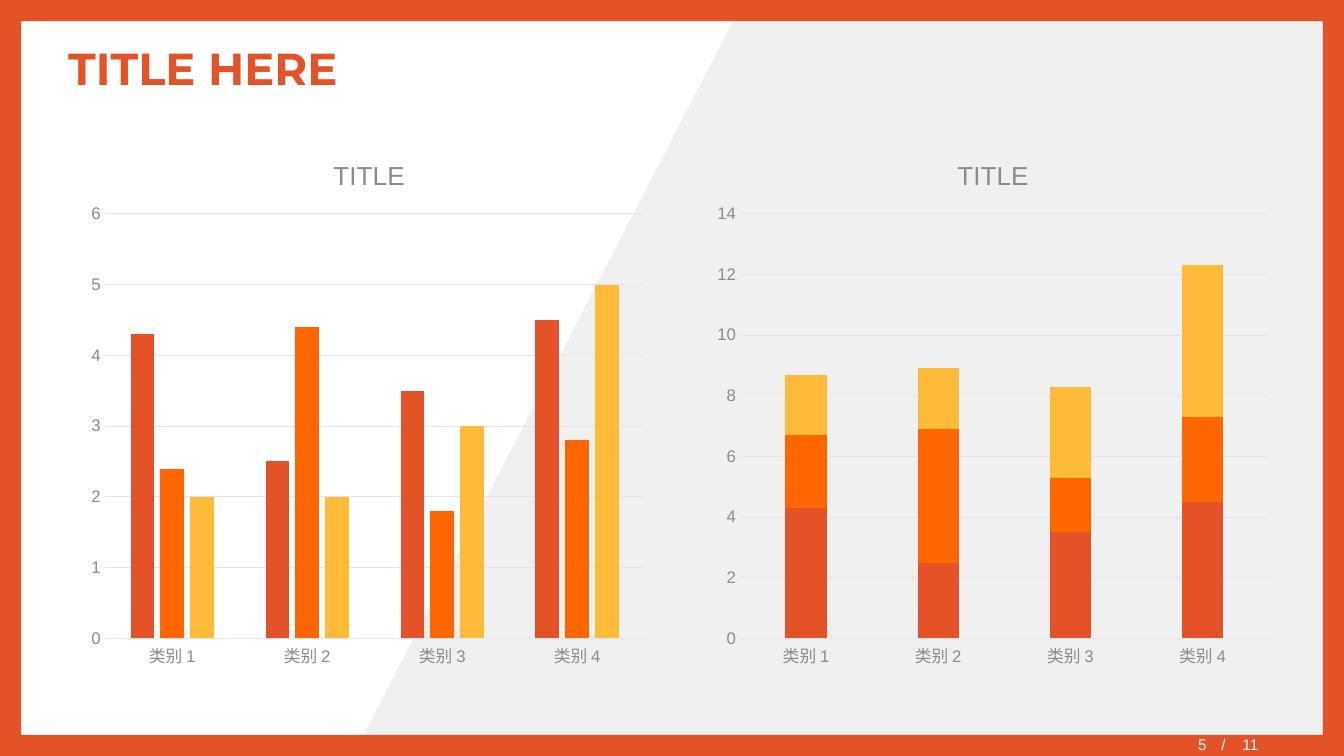
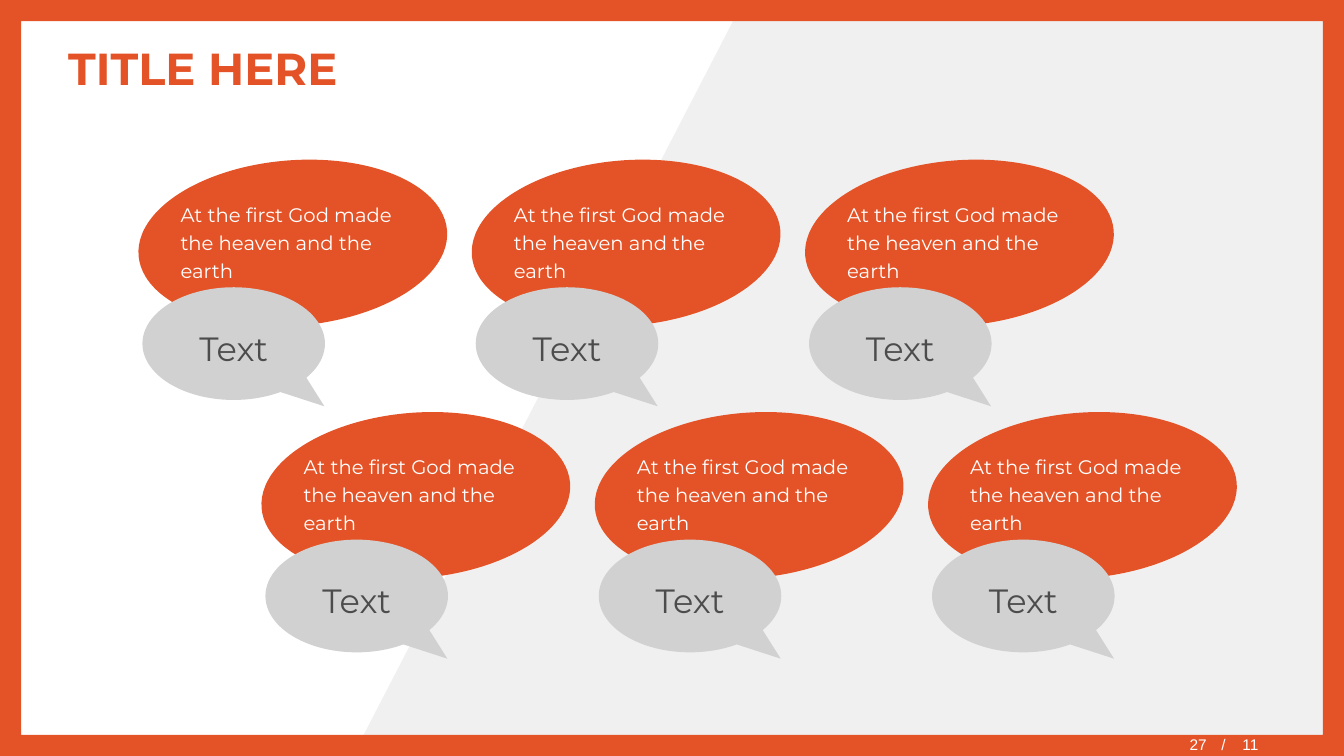
from lxml import etree
from pptx import Presentation
from pptx.chart.data import CategoryChartData
from pptx.dml.color import RGBColor
from pptx.enum.chart import XL_CHART_TYPE, XL_TICK_MARK
from pptx.enum.shapes import MSO_SHAPE
from pptx.enum.text import MSO_ANCHOR, PP_ALIGN
from pptx.oxml.ns import qn
from pptx.util import Cm, Pt

GROUPED = XL_CHART_TYPE.COLUMN_CLUSTERED
STACKED = XL_CHART_TYPE.COLUMN_STACKED
NO_TICK = XL_TICK_MARK.NONE
FRAME, OVAL = MSO_SHAPE.FRAME, MSO_SHAPE.OVAL
CALLOUT = MSO_SHAPE.OVAL_CALLOUT
TOP, MIDDLE = MSO_ANCHOR.TOP, MSO_ANCHOR.MIDDLE
LEFT, CENTER, RIGHT = PP_ALIGN.LEFT, PP_ALIGN.CENTER, PP_ALIGN.RIGHT

WIDE, HIGH = 33.87, 19.05
HEAD, BODY = "Montserrat", "Arial"
COLORS = {
    "main": "E45327", "orange": "FF6600", "amber": "FFBA37",
    "panel": "F0F0F0", "bubble": "D1D1D1", "grid": "E4E4E4",
    "label": "8B8B8B", "dark": "4C4C4C", "white": "FFFFFF",
}
TOTAL = 11

CATS = ["类别 1", "类别 2", "类别 3", "类别 4"]
SERIES = [
    ("Series 1", (4.3, 2.5, 3.5, 4.5), "main"),
    ("Series 2", (2.4, 4.4, 1.8, 2.8), "orange"),
    ("Series 3", (2, 2, 3, 5), "amber"),
]
VERSE = "At the first God made the heaven and the earth"


def rgb(name):
    return RGBColor.from_string(COLORS[name])


def style(font, size, color, face=BODY, bold=False):
    font.size, font.name, font.bold = Pt(size), face, bold
    font.color.rgb = rgb(color)


def paint(shape, color):
    shape.shadow.inherit = False
    shape.fill.solid()
    shape.fill.fore_color.rgb = rgb(color)
    shape.line.fill.background()


def add_form(slide, kind, box, color):
    shape = slide.shapes.add_shape(kind, *map(Cm, box))
    paint(shape, color)
    return shape


def write(shape, text, size, color, face=BODY, bold=False,
          align=LEFT, anchor=MIDDLE, lead=None):
    frame = shape.text_frame
    frame.word_wrap = True
    frame.vertical_anchor = anchor
    frame.text = text
    para = frame.paragraphs[0]
    para.alignment = align
    if lead:
        para.line_spacing = lead
    for run in para.runs:
        style(run.font, size, color, face, bold)
    return frame


def add_text(slide, box, text, size, color, **opts):
    area = slide.shapes.add_textbox(*map(Cm, box))
    return write(area, text, size, color, **opts)


def add_footer(slide, page):
    # Total, set off from the slash by a tab stop
    frame = add_text(slide, (30.53, 18.54, 3.33, 0.46), f"/\t{TOTAL}",
                     11, "white")
    props = frame.paragraphs[0]._p.get_or_add_pPr()
    tabs = etree.SubElement(props, qn("a:tabLst"))
    etree.SubElement(tabs, qn("a:tab"), pos=str(Cm(0.53)), algn="l")
    # Page number
    frame = add_text(slide, (24.08, 18.59, 6.58, 0.46), str(page),
                     11, "white", align=RIGHT)
    frame.margin_top, frame.margin_bottom = 0, Cm(0.13)


def new_slide(deck, title, page):
    slide = deck.slides.add_slide(deck.slide_layouts[6])
    # Slanted panel
    pen = slide.shapes.build_freeform(Cm(18.75), 0)
    pen.add_line_segments([(Cm(x), Cm(y)) for x, y in
                           ((WIDE, 0), (WIDE, HIGH), (8.89, HIGH))])
    paint(pen.convert_to_shape(), "panel")
    # Border
    border = add_form(slide, FRAME, (0, 0, WIDE, HIGH), "main")
    border.adjustments[0] = 0.028
    # Title and footer
    add_text(slide, (1.47, 0.71, 30.94, 2), title, 32, "main",
             face=HEAD, bold=True)
    add_footer(slide, page)
    return slide


def set_layout(part, **values):
    """Fix a chart part at the given fractions of the chart area."""
    layout = part.find(qn("c:layout"))
    if layout is None:
        layout = etree.Element(qn("c:layout"))
        part.insert(0, layout)
    manual = etree.SubElement(layout, qn("c:manualLayout"))
    if "w" in values:
        etree.SubElement(manual, qn("c:layoutTarget"), val="inner")
    for key in ("x", "y"):
        etree.SubElement(manual, qn(f"c:{key}Mode"), val="edge")
    for key, value in values.items():
        etree.SubElement(manual, qn(f"c:{key}"), val=str(value))


def add_columns(slide, box, kind, overlap, top, step, inset):
    data = CategoryChartData()
    data.categories = CATS
    for name, values, _ in SERIES:
        data.add_series(name, values)
    chart = slide.shapes.add_chart(kind, *map(Cm, box), data).chart
    style(chart.font, 10, "dark")
    chart.has_legend = False

    # Title
    chart.has_title = True
    title = chart.chart_title
    title.text_frame.text = "TITLE"
    style(title.text_frame.paragraphs[0].runs[0].font, 18.6, "label")
    set_layout(title._element, x=0.43, y=0.04)

    # Columns
    plot = chart.plots[0]
    plot.gap_width, plot.overlap = 219, overlap
    plot.vary_by_categories = False
    for series, (_, _, color) in zip(plot.series, SERIES):
        series.format.fill.solid()
        series.format.fill.fore_color.rgb = rgb(color)
    area = chart._chartSpace.find(".//" + qn("c:plotArea"))
    set_layout(area, x=inset, y=0.15, w=round(0.98 - inset, 2), h=0.78)

    # Axes
    cat, val = chart.category_axis, chart.value_axis
    for axis in (cat, val):
        axis.major_tick_mark = axis.minor_tick_mark = NO_TICK
        style(axis.tick_labels.font, 12, "label")
    val.minimum_scale, val.maximum_scale, val.major_unit = 0, top, step
    val.has_major_gridlines = True
    val.format.line.fill.background()
    for line in (cat.format.line, val.major_gridlines.format.line):
        line.color.rgb = rgb("grid")
        line.width = Pt(0.75)


def add_bubble(slide, x, y):
    oval = add_form(slide, OVAL, (x, y, 7.8, 4.17), "main")
    oval.rotation = -4.7
    # Speech callout
    talk = add_form(slide, CALLOUT, (x + 0.11, y + 3.2, 4.6, 2.84), "bubble")
    talk.adjustments[0], talk.adjustments[1] = 0.497, 0.556
    write(talk, "Text", 24, "dark", face=HEAD, align=CENTER, lead=1.2)
    # Verse
    add_text(slide, (x + 0.82, y + 0.82, 6.5, 2.41), VERSE, 14, "white",
             face=HEAD, anchor=TOP, lead=1.2)


def chart_slide(deck):
    slide = new_slide(deck, "TITLE HERE", 5)
    kinds = [(GROUPED, -27, 6, 1, 0.04), (STACKED, 100, 14, 2, 0.06)]
    for col, kind in enumerate(kinds):
        add_columns(slide, (2.06 + 15.72 * col, 3.33, 14.48, 13.72), *kind)


def bubble_slide(deck):
    slide = new_slide(deck, "TITLE HERE", 27)
    for row in range(2):
        for col in range(3):
            add_bubble(slide, 3.48 + 8.4 * col + 3.1 * row, 4.04 + 6.36 * row)


def main():
    deck = Presentation()
    deck.slide_width, deck.slide_height = Cm(WIDE), Cm(HIGH)
    chart_slide(deck)
    bubble_slide(deck)
    deck.save("out.pptx")


if __name__ == "__main__":
    main()
